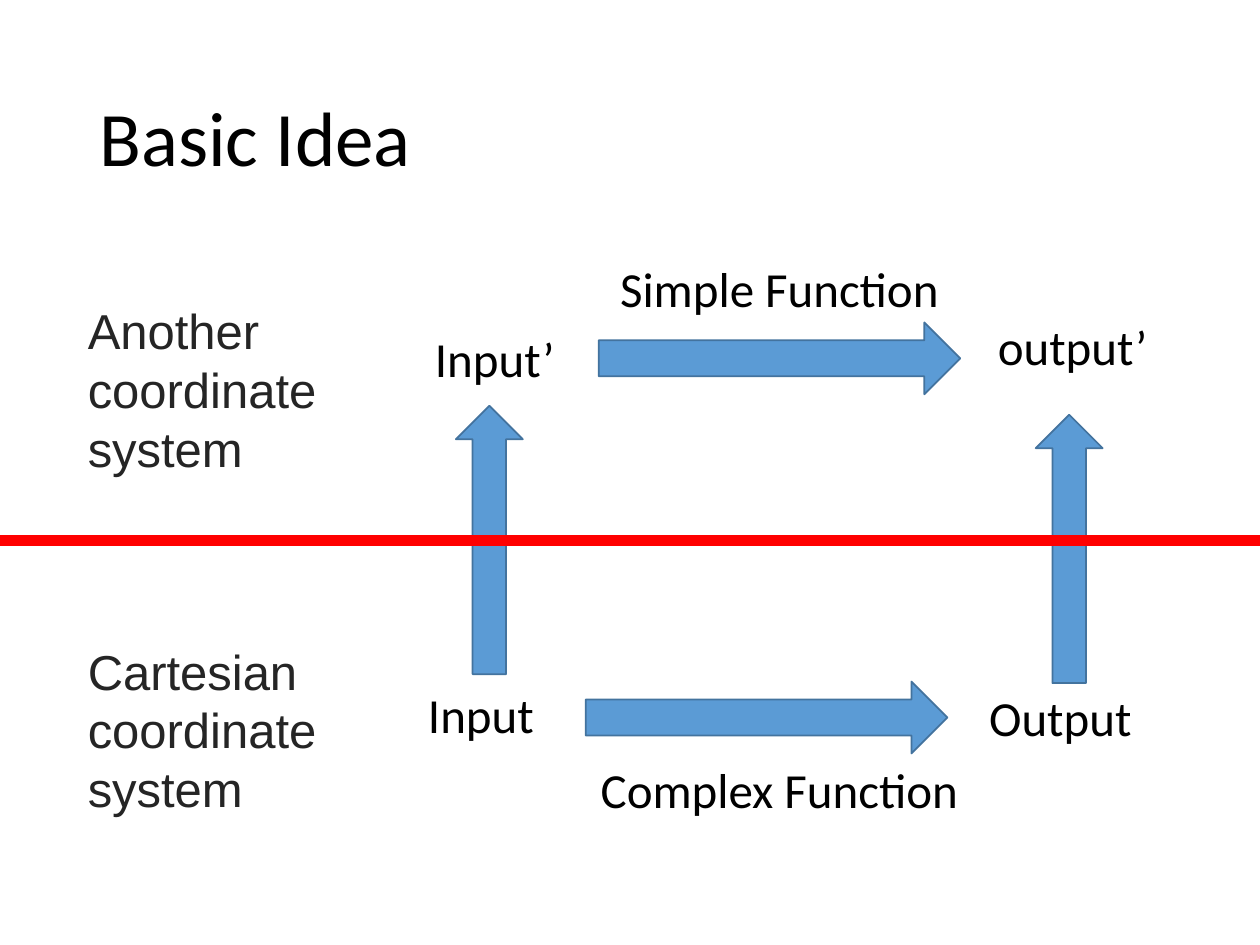
from dataclasses import dataclass

from lxml.etree import SubElement
from pptx import Presentation
from pptx.dml.color import RGBColor
from pptx.enum.shapes import MSO_CONNECTOR, MSO_SHAPE
from pptx.enum.text import MSO_ANCHOR, MSO_AUTO_SIZE, PP_ALIGN
from pptx.oxml.ns import qn
from pptx.util import Cm, Pt

PAGE_WIDTH, PAGE_HEIGHT = 25.4, 19.05


@dataclass(frozen=True)
class Theme:
    label_font: str = "Calibri"
    caption_font: str = "Arial"
    title_size: int = 44
    text_size: int = 28
    text: RGBColor = RGBColor(0x00, 0x00, 0x00)
    caption: RGBColor = RGBColor(0x25, 0x25, 0x25)
    arrow_fill: RGBColor = RGBColor(0x5B, 0x9B, 0xD5)
    arrow_line: RGBColor = RGBColor(0x43, 0x73, 0x9E)
    divider: RGBColor = RGBColor(0xFF, 0x00, 0x00)


class PageBuilder:
    """Draws themed elements on one page; all lengths are in centimetres."""

    def __init__(self, page, theme):
        self.page = page
        self.theme = theme

    def set_text(self, text_frame, text, font, size, color, alignment):
        text_frame.text = text
        text_frame.word_wrap = True
        paragraph = text_frame.paragraphs[0]
        paragraph.alignment = alignment
        span = paragraph.runs[0]
        span.font.name = font
        span.font.size = Pt(size)
        span.font.color.rgb = color

    def title(self, text, left, top, width, height):
        box = self.page.shapes.title
        box.left, box.top = Cm(left), Cm(top)
        box.width, box.height = Cm(width), Cm(height)
        self.set_text(box.text_frame, text, self.theme.label_font,
                      self.theme.title_size, self.theme.text, PP_ALIGN.LEFT)
        box.text_frame.vertical_anchor = MSO_ANCHOR.MIDDLE
        box.text_frame.paragraphs[0].line_spacing = 0.9

    def text_box(self, text, left, top, width, height, font, color, alignment):
        box = self.page.shapes.add_textbox(Cm(left), Cm(top), Cm(width), Cm(height))
        self.set_text(box.text_frame, text, font, self.theme.text_size, color, alignment)
        box.text_frame.auto_size = MSO_AUTO_SIZE.SHAPE_TO_FIT_TEXT

    def label(self, text, left, top, width):
        self.text_box(text, left, top, width, 1.45, self.theme.label_font,
                      self.theme.text, PP_ALIGN.CENTER)

    def caption(self, text, top):
        self.text_box(text, 1.52, top, 5.49, 3.84, self.theme.caption_font,
                      self.theme.caption, PP_ALIGN.LEFT)

    def arrow(self, left, top, width, height, rotation=0):
        arrow = self.page.shapes.add_shape(
            MSO_SHAPE.RIGHT_ARROW, Cm(left), Cm(top), Cm(width), Cm(height))
        arrow.rotation = rotation
        arrow.shadow.inherit = False
        arrow.fill.solid()
        arrow.fill.fore_color.rgb = self.theme.arrow_fill
        arrow.line.color.rgb = self.theme.arrow_line
        arrow.line.width = Pt(1)

    def divider(self, top):
        line = self.page.shapes.add_connector(
            MSO_CONNECTOR.STRAIGHT, Cm(0), Cm(top), Cm(PAGE_WIDTH), Cm(top))
        line.line.color.rgb = self.theme.divider
        line.line.width = Pt(6)
        SubElement(line._element.spPr, qn("a:effectLst"))


def main():
    deck = Presentation()
    deck.slide_width, deck.slide_height = Cm(PAGE_WIDTH), Cm(PAGE_HEIGHT)
    title_only = deck.slide_layouts[5]
    builder = PageBuilder(deck.slides.add_slide(title_only), Theme())

    builder.title("Basic Idea", 1.75, 1.02, 21.9, 3.68)

    for text, top in (("Another coordinate system", 5.94),
                      ("Cartesian coordinate system", 12.8)):
        builder.caption(text, top)

    for text, top in (("Simple Function", 5.08), ("Complex Function", 15.19)):
        builder.label(text, 11.43, top, 8.56)

    for text, left, top in (("Input’", 7.7, 6.5), ("output’", 19.35, 6.25),
                            ("Input", 7.42, 13.67), ("Output", 19.1, 13.74)):
        builder.label(text, left, top, 4.55)

    for left, top in ((12.07, 6.5), (11.81, 13.74)):
        builder.arrow(left, top, 7.29, 1.45)

    for left, top in ((7.16, 10.21), (18.85, 10.39)):
        builder.arrow(left, top, 5.41, 1.35, rotation=270)

    builder.divider(10.9)
    deck.save("out.pptx")


if __name__ == "__main__":
    main()
